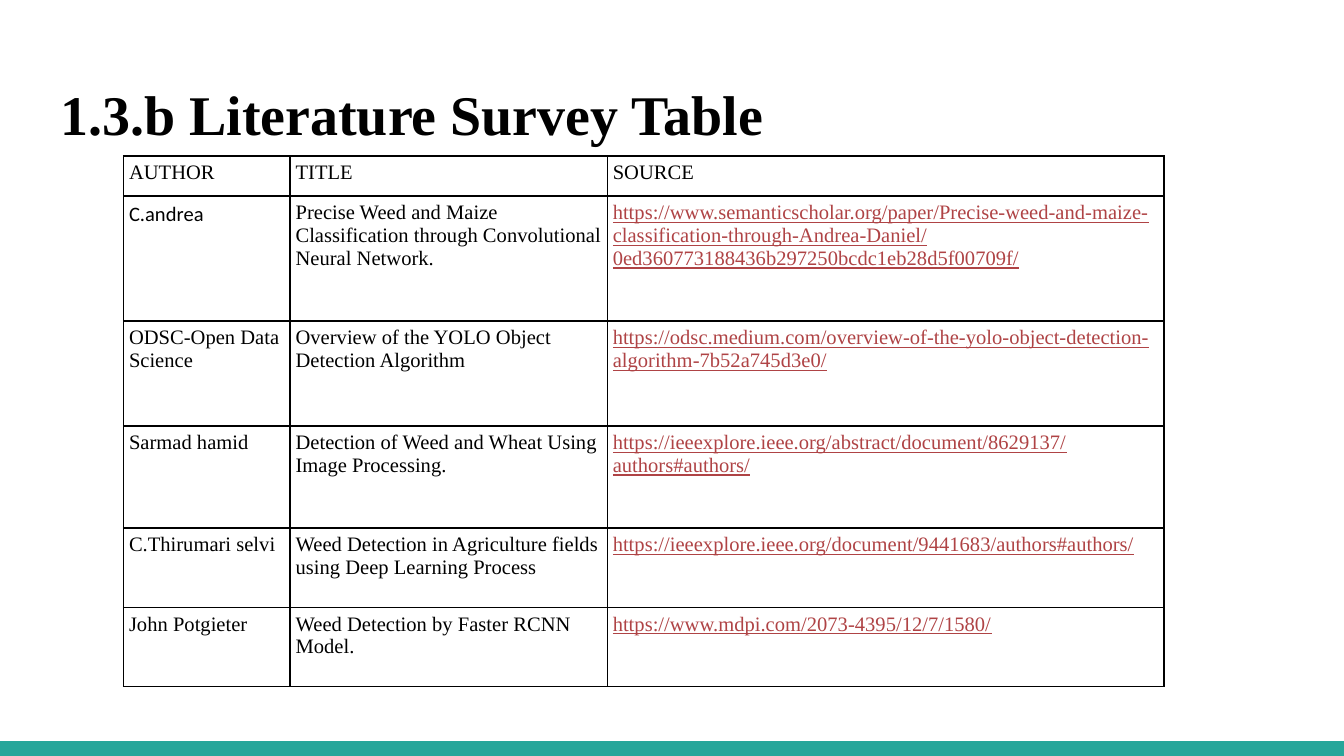
import pptx
import pptx.util
import pptx.dml.color
import pptx.enum.shapes
import pptx.enum.text
import pptx.oxml
import pptx.oxml.ns

RGBColor = pptx.dml.color.RGBColor
Inches = pptx.util.Inches
BLACK = RGBColor(0x00, 0x00, 0x00)
WHITE = RGBColor(0xFF, 0xFF, 0xFF)
TEAL = RGBColor(0x26, 0xA6, 0x9A)
LINK_RED = RGBColor(0xAF, 0x43, 0x45)
SERIF = "Times New Roman"


def write_text(frame, text, size=11, font=SERIF, color=BLACK, bold=False, underline=False):
    run = frame.paragraphs[0].add_run()
    run.text = text
    run.font.size = pptx.util.Pt(size)
    run.font.name = font
    run.font.color.rgb = color
    run.font.bold = bold
    run.font.underline = underline


def add_borders(cell):
    properties = cell._tc.get_or_add_tcPr()
    for position, side in enumerate(("lnL", "lnR", "lnT", "lnB")):
        line = pptx.oxml.parse_xml(
            f'<a:{side} {pptx.oxml.ns.nsdecls("a")} w="12700"><a:solidFill>'
            f'<a:srgbClr val="{BLACK}"/></a:solidFill></a:{side}>'
        )
        properties.insert(position, line)


presentation = pptx.Presentation()
presentation.slide_width = Inches(10)
presentation.slide_height = presentation.slide_width * 9 // 16
slide = presentation.slides.add_slide(presentation.slide_layouts[6])
slide.background.fill.solid()
slide.background.fill.fore_color.rgb = WHITE

bar_height = Inches(0.11)
footer_bar = slide.shapes.add_shape(
    pptx.enum.shapes.MSO_SHAPE.RECTANGLE,
    0, presentation.slide_height - bar_height, presentation.slide_width, bar_height,
)
footer_bar.shadow.inherit = False
footer_bar.fill.solid()
footer_bar.fill.fore_color.rgb = TEAL
footer_bar.line.fill.background()

title = slide.shapes.add_textbox(Inches(0.35), Inches(0.49), Inches(9.32), Inches(0.67))
title.text_frame.word_wrap = True
title.text_frame.margin_left = title.text_frame.margin_right = Inches(0.1)
title.text_frame.margin_top = title.text_frame.margin_bottom = Inches(0.1)
write_text(title.text_frame, "1.3.b Literature Survey Table", size=30, bold=True)

survey_rows = [
    ("AUTHOR", "TITLE", "SOURCE"),
    ("C.andrea",
     "Precise Weed and Maize Classification through Convolutional Neural Network.",
     "https://www.semanticscholar.org/paper/Precise-weed-and-maize-classification-through-Andrea-Daniel/0ed360773188436b297250bcdc1eb28d5f00709f/"),
    ("ODSC-Open Data Science",
     "Overview of the YOLO Object Detection Algorithm",
     "https://odsc.medium.com/overview-of-the-yolo-object-detection-algorithm-7b52a745d3e0/"),
    ("Sarmad hamid",
     "Detection of Weed and Wheat Using Image Processing.",
     "https://ieeexplore.ieee.org/abstract/document/8629137/authors#authors/"),
    ("C.Thirumari selvi",
     "Weed Detection in Agriculture fields using Deep Learning Process",
     "https://ieeexplore.ieee.org/document/9441683/authors#authors/"),
    ("John Potgieter",
     "Weed Detection by Faster RCNN Model.",
     "https://www.mdpi.com/2073-4395/12/7/1580/"),
]
column_widths = [1.24, 2.36, 4.14]
row_heights = [0.3, 0.93, 0.78, 0.76, 0.59, 0.59]

table_frame = slide.shapes.add_table(
    len(row_heights), len(column_widths), Inches(0.92), Inches(1.16),
    Inches(sum(column_widths)), Inches(sum(row_heights)),
)
table = table_frame.table
table.first_row = False
table.horz_banding = False
for column, width in zip(table.columns, column_widths):
    column.width = Inches(width)
for row, height in zip(table.rows, row_heights):
    row.height = Inches(height)

for row_index, texts in enumerate(survey_rows):
    for column_index, text in enumerate(texts):
        cell = table.cell(row_index, column_index)
        cell.fill.background()
        cell.vertical_anchor = pptx.enum.text.MSO_ANCHOR.TOP
        cell.margin_left = cell.margin_right = Inches(0.04)
        cell.margin_top = cell.margin_bottom = Inches(0.04)
        is_link = text.startswith("https")
        write_text(
            cell.text_frame, text,
            font="Calibri" if text == "C.andrea" else SERIF,
            color=LINK_RED if is_link else BLACK,
            underline=is_link,
        )
        add_borders(cell)

presentation.save("out.pptx")
